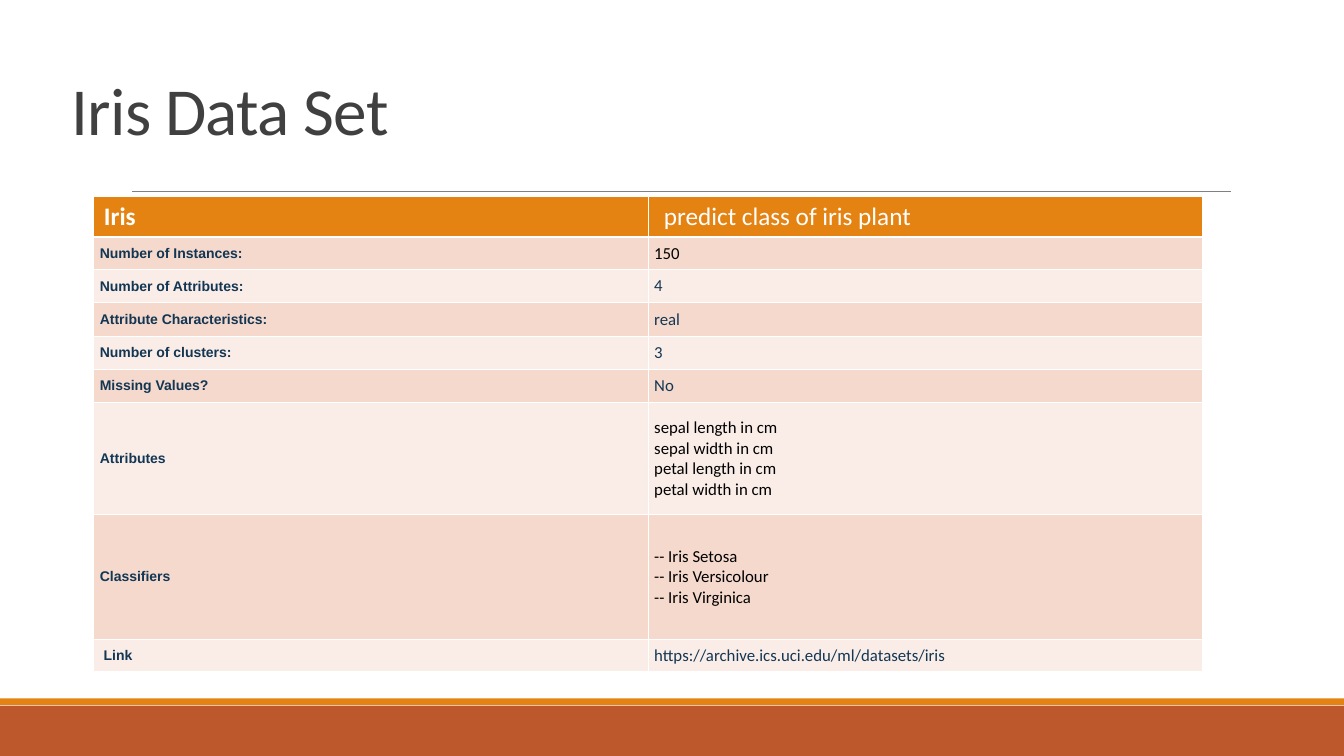
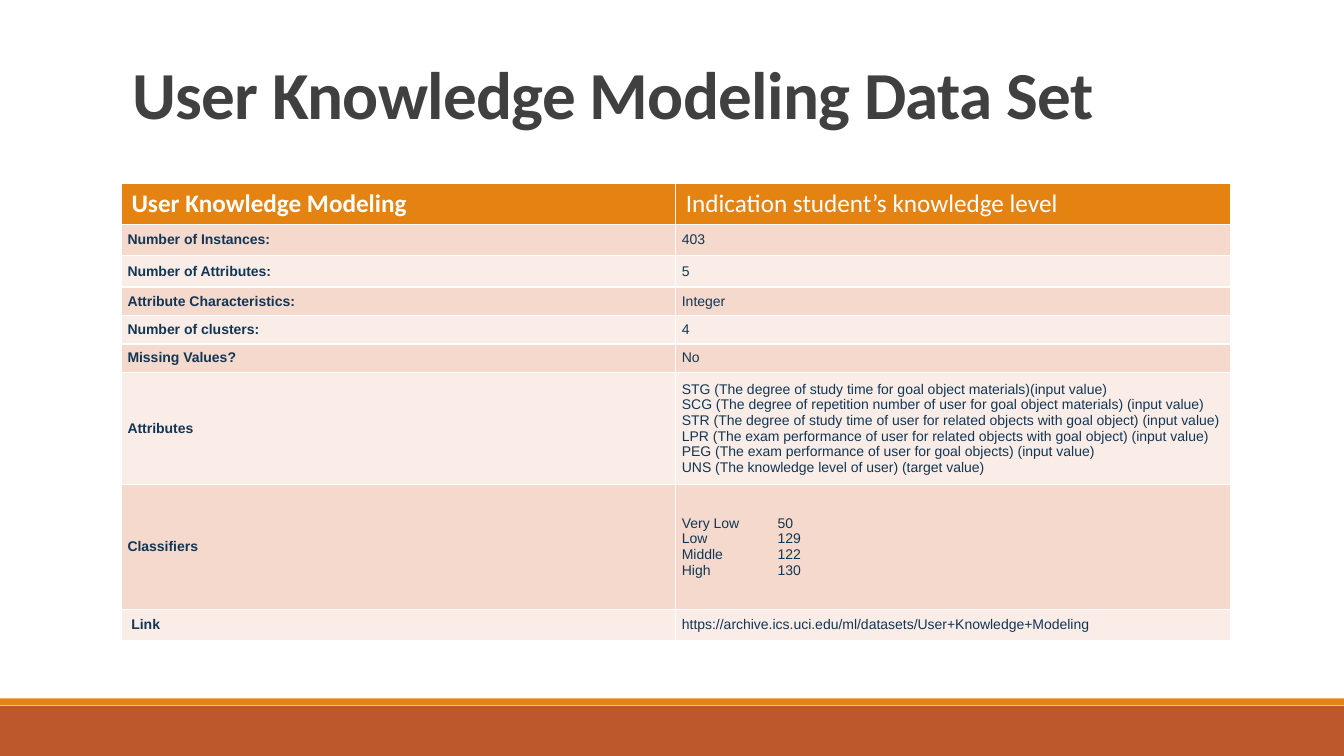
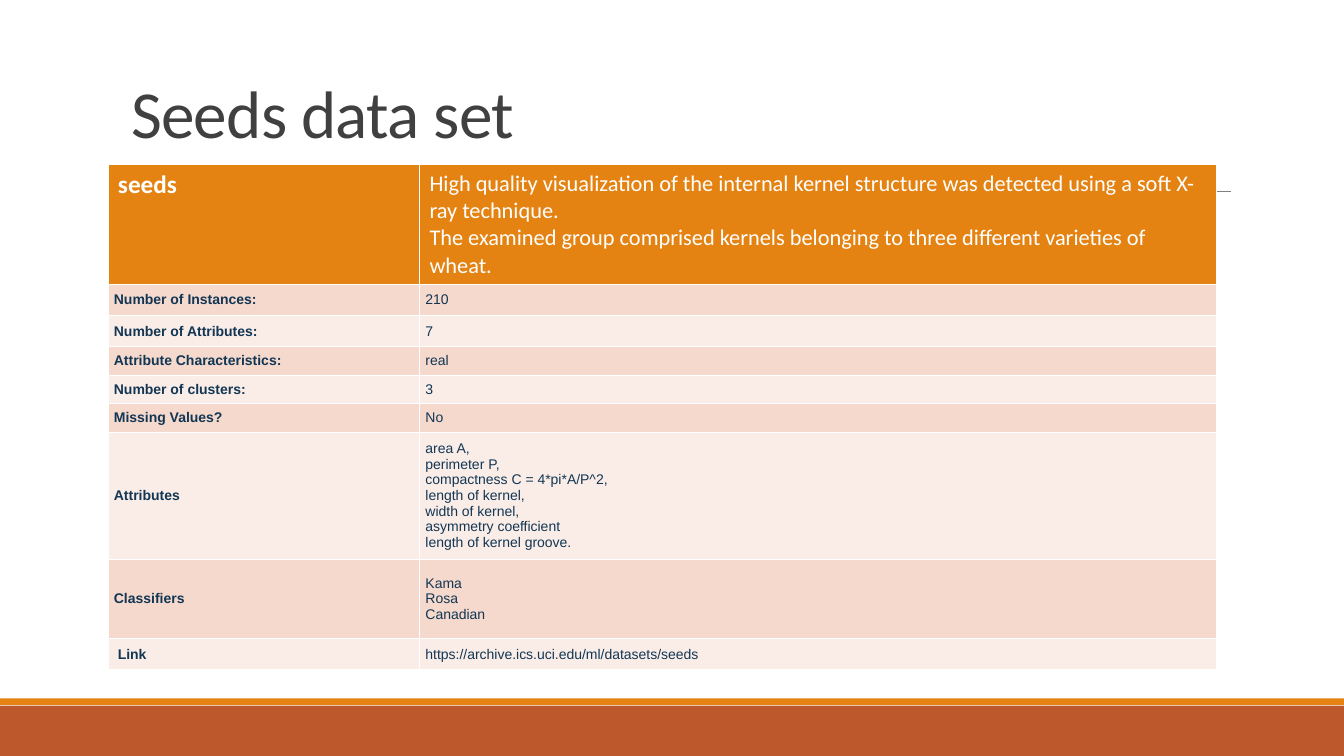
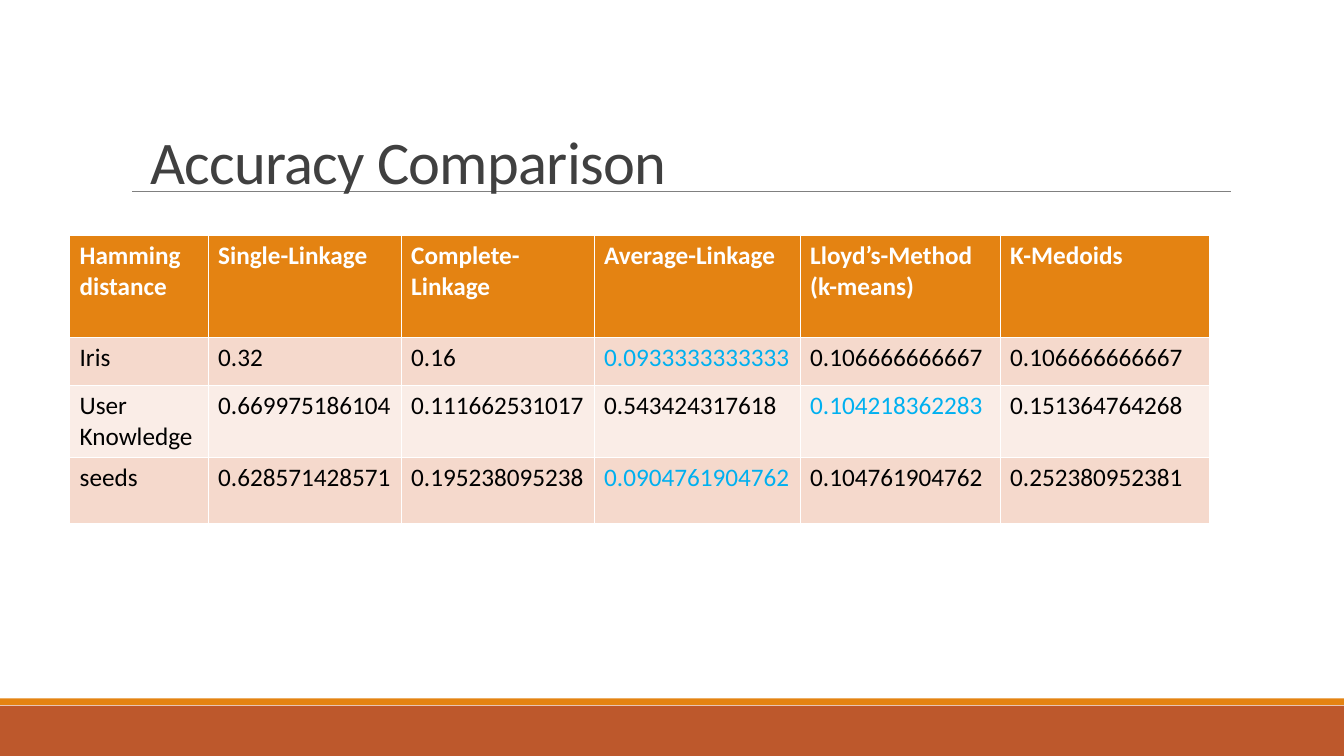
import dataclasses
from typing import Callable

import lxml.etree
import pptx
import pptx.dml.color
import pptx.enum.shapes
import pptx.enum.text
import pptx.oxml.ns
import pptx.presentation
import pptx.slide
import pptx.table
import pptx.text.text
import pptx.util

Inches = pptx.util.Inches
Pt = pptx.util.Pt
RGBColor = pptx.dml.color.RGBColor
qn = pptx.oxml.ns.qn

# Shared look
ORANGE = RGBColor(0xE4, 0x83, 0x12)
RUST = RGBColor(0xBD, 0x58, 0x2C)
PEACH = RGBColor(0xF5, 0xD9, 0xCC)
CREAM = RGBColor(0xFA, 0xED, 0xE7)
CHARCOAL = RGBColor(0x40, 0x40, 0x40)
GRAY = RGBColor(0x80, 0x80, 0x80)
NAVY = RGBColor(0x12, 0x36, 0x54)
SKY = RGBColor(0x00, 0xB0, 0xF0)
BLACK = RGBColor(0, 0, 0)
WHITE = RGBColor(0xFF, 0xFF, 0xFF)

SLIDE_WIDTH = Inches(13.333)
SLIDE_HEIGHT = Inches(7.5)
TITLE_ONLY = 5
CELL_MARGIN = Inches(0.06)
COUNT_TAB = Inches(0.95)


@dataclasses.dataclass(frozen=True)
class Frame:
    """A rectangle in percent of the slide's width and height."""
    left: float
    top: float
    width: float
    height: float


@dataclasses.dataclass(frozen=True)
class Style:
    font: str
    size: float
    color: RGBColor
    bold: bool = False


@dataclasses.dataclass(frozen=True)
class Title:
    text: str
    frame: Frame
    size: float = 48
    bold: bool = False
    spacing: float = 0.85


@dataclasses.dataclass(frozen=True)
class Grid:
    """Table corner, column widths and row heights in percent."""
    left: float
    top: float
    columns: tuple[float, ...]
    rows: tuple[float, ...]


@dataclasses.dataclass(frozen=True)
class DataSet:
    title: Title
    grid: Grid
    name: str
    purpose: str
    values: tuple[str, ...]
    value_style: Style
    purpose_size: float = 18
    black_values: tuple[int, ...] = ()


HEADER = Style("Calibri", 18, WHITE, True)
LABEL = Style("Arial", 10, NAVY, True)
SMALL_VALUE = Style("Arial", 10, NAVY)
LARGE_VALUE = Style("Calibri", 12, NAVY)
RESULT = Style("Calibri", 18, BLACK)

# Content
LABELS = ("Number of Instances:", "Number of Attributes:", "Attribute Characteristics:",
          "Number of clusters:", "Missing Values?", "Attributes", "Classifiers", " Link")

DATA_SETS = (
    DataSet(
        Title("Iris Data Set", Frame(4.58, 9.87, 86.25, 10.53)),
        Grid(6.98, 25.95, (41.25, 41.25),
             (5.33, 4.3, 4.4, 4.4, 4.4, 4.4, 14.8, 16.53, 4.3)),
        "Iris", " predict class of iris plant",
        ("150", "4", "real", "3", "No",
         "sepal length in cm\nsepal width in cm\npetal length in cm\npetal width in cm",
         "-- Iris Setosa\n-- Iris Versicolour\n-- Iris Virginica",
         "https://archive.ics.uci.edu/ml/datasets/iris"),
        LARGE_VALUE, black_values=(0, 5, 6)),
    DataSet(
        Title("User Knowledge Modeling Data Set", Frame(9.08, 6, 82.5, 12.27), bold=True),
        Grid(9.04, 24.3, (41.25, 41.25),
             (5.33, 4.13, 4.13, 3.77, 3.77, 3.77, 14.8, 16.53, 4.13)),
        "User Knowledge Modeling", "Indication student’s knowledge level",
        ("403", "5", "Integer", "4", "No",
         "STG (The degree of study time for goal object materials)(input value)\n"
         "SCG (The degree of repetition number of user for goal object materials) (input value)\n"
         "STR (The degree of study time of user for related objects with goal object) (input value)\n"
         "LPR (The exam performance of user for related objects with goal object) (input value)\n"
         "PEG (The exam performance of user for goal objects) (input value)\n"
         "UNS (The knowledge level of user) (target value)",
         "Very Low\t50\nLow\t129\nMiddle\t122\nHigh\t130",
         "https://archive.ics.uci.edu/ml/datasets/User+Knowledge+Modeling"),
        SMALL_VALUE),
    DataSet(
        Title("Seeds data set", Frame(9, 6.8, 82.5, 14)),
        Grid(8.03, 21.8, (23.18, 59.32),
             (15.74, 4.13, 4.13, 3.77, 3.77, 3.77, 16.8, 10.53, 4.13)),
        "seeds",
        "High quality visualization of the internal kernel structure was detected using "
        "a soft X-ray technique.\n"
        "The examined group comprised kernels belonging to three different varieties of wheat.",
        ("210", "7", "real", "3", "No",
         "area A,\nperimeter P,\ncompactness C = 4*pi*A/P^2,\nlength of kernel,\n"
         "width of kernel,\nasymmetry coefficient\nlength of kernel groove.",
         "Kama\nRosa\nCanadian",
         "https://archive.ics.uci.edu/ml/datasets/seeds"),
        SMALL_VALUE, purpose_size=16),
)

ACCURACY_TITLE = Title("Accuracy Comparison", Frame(10.43, 17.47, 86.25, 9.07),
                       size=43.2, spacing=0.75)
ACCURACY_GRID = Grid(5.18, 31.2, (10.31, 14.36, 14.36, 15.33, 14.88, 15.59),
                     (13.4, 6.4, 9.45, 8.8))
METHODS = ("Hamming\ndistance", "Single-Linkage", "Complete-Linkage", "Average-Linkage",
           "Lloyd’s-Method\n(k-means)", "K-Medoids")
ACCURACIES = (
    ("Iris", "0.32", "0.16", "0.0933333333333", "0.106666666667", "0.106666666667"),
    ("User Knowledge", "0.669975186104", "0.111662531017", "0.543424317618",
     "0.104218362283", "0.151364764268"),
    ("seeds", "0.628571428571", "0.195238095238", "0.0904761904762",
     "0.104761904762", "0.252380952381"),
)


# Lengths and text
def across(percent: float) -> int:
    return round(SLIDE_WIDTH * percent / 100)


def down(percent: float) -> int:
    return round(SLIDE_HEIGHT * percent / 100)


def place(frame: Frame) -> tuple[int, int, int, int]:
    return across(frame.left), down(frame.top), across(frame.width), down(frame.height)


def format_paragraph(para: pptx.text.text._Paragraph, style: Style) -> None:
    para.font.name = style.font
    para.font.size = Pt(style.size)
    para.font.bold = style.bold
    para.font.color.rgb = style.color


def add_tab_stop(para: pptx.text.text._Paragraph, position: int) -> None:
    stops = lxml.etree.SubElement(para._p.get_or_add_pPr(), qn("a:tabLst"))
    lxml.etree.SubElement(stops, qn("a:tab"), pos=str(position), algn="l")


def fill_cell(cell: pptx.table._Cell, text: str, style: Style, color: RGBColor) -> None:
    cell.fill.solid()
    cell.fill.fore_color.rgb = color
    cell.text = text
    for para in cell.text_frame.paragraphs:
        if "\t" in para.text:
            add_tab_stop(para, COUNT_TAB)
        format_paragraph(para, style)


# Parts of a page
def draw_master(deck: pptx.presentation.Presentation, page: pptx.slide.Slide) -> None:
    """Draw the bands and the title rule, then hand them to the slide master."""
    parts = []
    for frame, color in ((Frame(0, 93.33, 100, 6.67), RUST), (Frame(0, 92.4, 100, 0.85), ORANGE)):
        band = page.shapes.add_shape(pptx.enum.shapes.MSO_SHAPE.RECTANGLE, *place(frame))
        band.shadow.inherit = False
        band.fill.solid()
        band.fill.fore_color.rgb = color
        band.line.fill.background()
        parts.append(band)
    rule = page.shapes.add_connector(pptx.enum.shapes.MSO_CONNECTOR.STRAIGHT,
                                     across(9.83), down(25.33), across(91.58), down(25.33))
    rule.line.color.rgb = GRAY
    rule.line.width = Pt(0.5)
    lxml.etree.SubElement(rule.element.spPr, qn("a:effectLst"))
    for part in (*parts, rule):
        deck.slide_master.shapes.element.append(part.element)


def add_page(deck: pptx.presentation.Presentation, title: Title) -> pptx.slide.Slide:
    page = deck.slides.add_slide(deck.slide_layouts[TITLE_ONLY])
    box = page.shapes.title
    box.left, box.top, box.width, box.height = place(title.frame)
    box.text_frame.text = title.text
    box.text_frame.word_wrap = True
    box.text_frame.auto_size = pptx.enum.text.MSO_AUTO_SIZE.NONE
    box.text_frame.vertical_anchor = pptx.enum.text.MSO_ANCHOR.BOTTOM
    para = box.text_frame.paragraphs[0]
    para.alignment = pptx.enum.text.PP_ALIGN.LEFT
    para.line_spacing = title.spacing
    format_paragraph(para, Style("Calibri", title.size, CHARCOAL, title.bold))
    for properties in box.element.iter(qn("a:defRPr")):
        properties.set("spc", "-50")
    return page


def add_grid(page: pptx.slide.Slide, grid: Grid, texts: list[tuple[str, ...]],
             style_at: Callable[[int, int], Style]) -> pptx.table.Table:
    frame = Frame(grid.left, grid.top, sum(grid.columns), sum(grid.rows))
    table = page.shapes.add_table(len(grid.rows), len(grid.columns), *place(frame)).table
    for column, width in zip(table.columns, grid.columns):
        column.width = across(width)
    for row, height in zip(table.rows, grid.rows):
        row.height = down(height)
    for i, row_texts in enumerate(texts):
        color = ORANGE if i == 0 else PEACH if i % 2 else CREAM
        for j, text in enumerate(row_texts):
            fill_cell(table.cell(i, j), text, style_at(i, j), color)
    return table


# Pages
def add_data_set(deck: pptx.presentation.Presentation, data: DataSet) -> pptx.slide.Slide:
    def style_at(row: int, column: int) -> Style:
        if row == 0:
            return HEADER if column == 0 else Style("Calibri", data.purpose_size, WHITE)
        if column == 0:
            return LABEL
        if row - 1 in data.black_values:
            return dataclasses.replace(data.value_style, color=BLACK)
        return data.value_style

    page = add_page(deck, data.title)
    texts = [(data.name, data.purpose), *zip(LABELS, data.values)]
    table = add_grid(page, data.grid, texts, style_at)
    for row in list(table.rows)[1:]:
        for cell in row.cells:
            cell.vertical_anchor = pptx.enum.text.MSO_ANCHOR.MIDDLE
            cell.margin_left = cell.margin_right = CELL_MARGIN
            cell.margin_top = cell.margin_bottom = CELL_MARGIN
    return page


def add_accuracy(deck: pptx.presentation.Presentation) -> None:
    def style_at(row: int, column: int) -> Style:
        if row == 0:
            return HEADER
        results = ACCURACIES[row - 1]
        lowest = min(results[1:], key=float)
        return dataclasses.replace(RESULT, color=SKY) if results[column] == lowest else RESULT

    page = add_page(deck, ACCURACY_TITLE)
    add_grid(page, ACCURACY_GRID, [METHODS, *ACCURACIES], style_at)


def main() -> None:
    deck = pptx.Presentation()
    deck.slide_width = SLIDE_WIDTH
    deck.slide_height = SLIDE_HEIGHT
    pages = [add_data_set(deck, data) for data in DATA_SETS]
    draw_master(deck, pages[0])
    add_accuracy(deck)
    deck.save("out.pptx")


if __name__ == "__main__":
    main()
